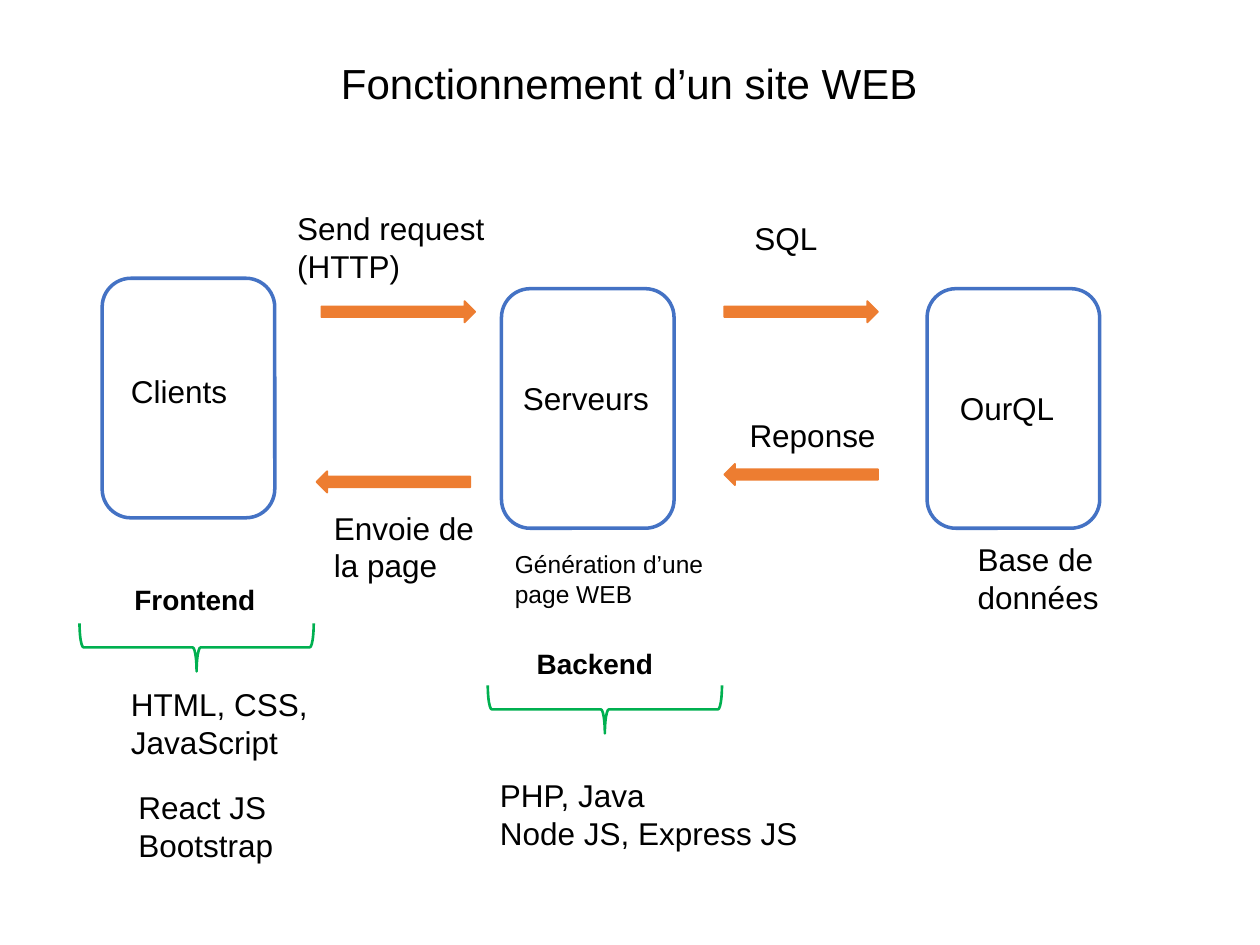
import pptx
import pptx.util
import pptx.dml.color
import pptx.enum.shapes
import pptx.enum.text

Cm = pptx.util.Cm
Pt = pptx.util.Pt
RGBColor = pptx.dml.color.RGBColor
Shape = pptx.enum.shapes.MSO_SHAPE
Text = pptx.enum.text

BLACK = RGBColor(0x00, 0x00, 0x00)
WHITE = RGBColor(0xFF, 0xFF, 0xFF)
BLUE = RGBColor(0x44, 0x72, 0xC4)
ORANGE = RGBColor(0xED, 0x7D, 0x31)
GREEN = RGBColor(0x00, 0xB0, 0x50)

BOXES = [(2.06, 5.61), (10.11, 5.82), (18.69, 5.82)]
ARROWS = [(6.48, 6.07, 0), (14.6, 6.07, 0), (14.6, 9.35, 180), (6.38, 9.5, 180)]
BRACES = [(3.48, 10.69), (11.71, 11.94)]
LABELS = [
    ("Send request (HTTP)", 5.74, 4.09, 5.44, 1.8),
    ("Clients", 2.39, 7.37, 3.15, 1.02),
    ("Serveurs", 10.29, 7.52, 3.15, 1.02),
    ("OurQL", 19.1, 7.72, 2.67, 1.02),
    ("Base de données", 19.46, 10.77, 3.15, 1.8),
    ("SQL", 14.96, 4.29, 3.4, 1.02),
    ("Reponse", 14.86, 8.26, 3.1, 1.02),
    ("Envoie de la page", 6.48, 10.13, 3.48, 1.8),
    ("HTML, CSS, JavaScript", 2.39, 13.69, 5.13, 1.8),
    ("React JS Bootstrap", 2.54, 15.77, 4.42, 1.8),
    ("PHP, Java\nNode JS, Express JS", 9.83, 15.52, 6.76, 1.8),
]
HEADS = [("Frontend", 2.46, 11.61), ("Backend", 10.57, 12.9)]


def write(frame, text, size, bold=False, align=Text.PP_ALIGN.LEFT):
    frame.text = text
    frame.word_wrap = True
    for para in frame.paragraphs:
        para.alignment = align
        for run in para.runs:
            font = run.font
            font.name = "Arial"
            font.size = Pt(size)
            font.bold = bold
            font.color.rgb = BLACK


def title(slide, text):
    head = slide.shapes.title
    head.left, head.top = Cm(6.17), Cm(1.04)
    head.width, head.height = Cm(13.03), Cm(1.27)
    frame = head.text_frame
    write(frame, text, 24, align=Text.PP_ALIGN.CENTER)
    frame.auto_size = Text.MSO_AUTO_SIZE.NONE


def label(slide, text, left, top, width, height, size=18, bold=False):
    box = slide.shapes.add_textbox(Cm(left), Cm(top), Cm(width), Cm(height))
    write(box.text_frame, text, size, bold)


def shape(slide, kind, left, top, width, height, line, weight, fill=None, turn=0):
    item = slide.shapes.add_shape(kind, Cm(left), Cm(top), Cm(width), Cm(height))
    item.shadow.inherit = False
    item.rotation = turn
    item.line.color.rgb = line
    item.line.width = Pt(weight)
    if fill is None:
        item.fill.background()
    else:
        item.fill.solid()
        item.fill.fore_color.rgb = fill


def main():
    deck = pptx.Presentation()
    deck.slide_width, deck.slide_height = Cm(25.4), Cm(19.05)
    slide = deck.slides.add_slide(deck.slide_layouts[5])
    title(slide, "Fonctionnement d’un site WEB")
    for left, top in BOXES:
        shape(slide, Shape.ROUNDED_RECTANGLE, left, top, 3.48, 4.83, BLUE, 2, WHITE)
    for left, top, turn in ARROWS:
        shape(slide, Shape.RIGHT_ARROW, left, top, 3.1, 0.43, ORANGE, 1, ORANGE, turn)
    for left, top in BRACES:
        shape(slide, Shape.LEFT_BRACE, left, top, 0.97, 4.72, GREEN, 1.5, turn=270)
    for row in LABELS:
        label(slide, *row)
    label(slide, "Génération d’une page WEB", 10.13, 10.95, 5.31, 1.45, 14)
    for text, left, top in HEADS:
        label(slide, text, left, top, 5.8, 0.94, 16, True)
    deck.save("out.pptx")


if __name__ == "__main__":
    main()
